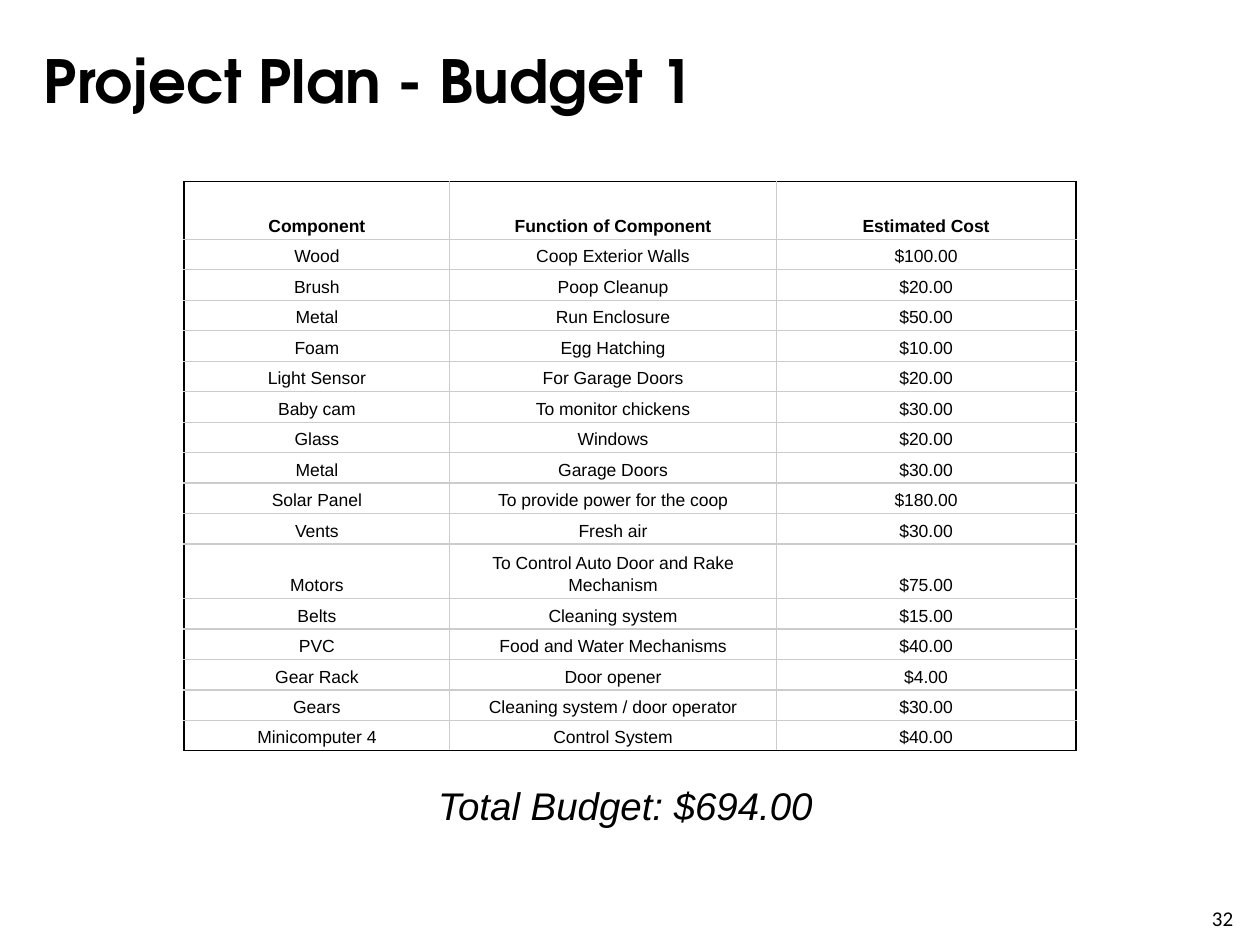
import pptx
import pptx.dml.color
import pptx.enum.text
import pptx.oxml
import pptx.oxml.ns
import pptx.util
from pptx.util import Inches

BUDGET = [
    ("Component", "Function of Component", "Estimated Cost"),
    ("Wood", "Coop Exterior Walls", "$100.00"),
    ("Brush", "Poop Cleanup", "$20.00"),
    ("Metal", "Run Enclosure", "$50.00"),
    ("Foam", "Egg Hatching", "$10.00"),
    ("Light Sensor", "For Garage Doors", "$20.00"),
    ("Baby cam", "To monitor chickens", "$30.00"),
    ("Glass", "Windows", "$20.00"),
    ("Metal", "Garage Doors", "$30.00"),
    ("Solar Panel", "To provide power for the coop", "$180.00"),
    ("Vents", "Fresh air", "$30.00"),
    ("Motors", "To Control Auto Door and Rake Mechanism", "$75.00"),
    ("Belts", "Cleaning system", "$15.00"),
    ("PVC", "Food and Water Mechanisms", "$40.00"),
    ("Gear Rack", "Door opener", "$4.00"),
    ("Gears", "Cleaning system / door operator", "$30.00"),
    ("Minicomputer 4", "Control System", "$40.00"),
]


def color(value):
    return pptx.dml.color.RGBColor.from_string(value)


class BudgetSlide:
    ink = "000000"
    grid = "CCCCCC"
    body_font = "Arial"
    cell_padding = Inches(0.05) // 2

    def __init__(self, slide):
        self.slide = slide

    def style(self, paragraph, size, font, bold=False, italic=False):
        paragraph.font.size = pptx.util.Pt(size)
        paragraph.font.name = font
        paragraph.font.bold = bold
        paragraph.font.italic = italic
        paragraph.font.color.rgb = color(self.ink)

    def text(self, words, left, top, width, height, size, font, padding=0.05, **emphasis):
        frame = self.slide.shapes.add_textbox(
            Inches(left), Inches(top), Inches(width), Inches(height)
        ).text_frame
        frame.word_wrap = True
        frame.margin_top = frame.margin_bottom = Inches(padding)
        frame.text = words
        self.style(frame.paragraphs[0], size, font, **emphasis)

    def borders(self, cell, edges):
        properties = cell._tc.get_or_add_tcPr()
        for position, (side, value) in enumerate(edges):
            line = pptx.oxml.parse_xml(
                f'<a:{side} {pptx.oxml.ns.nsdecls("a")} w="{pptx.util.Pt(0.75)}">'
                f'<a:solidFill><a:srgbClr val="{value}"/></a:solidFill></a:{side}>'
            )
            properties.insert(position, line)

    def cell(self, cell, words, bold):
        cell.fill.background()
        cell.vertical_anchor = pptx.enum.text.MSO_ANCHOR.BOTTOM
        cell.margin_left = cell.margin_right = self.cell_padding
        cell.margin_top = cell.margin_bottom = self.cell_padding
        cell.text = words
        paragraph = cell.text_frame.paragraphs[0]
        paragraph.alignment = pptx.enum.text.PP_ALIGN.CENTER
        paragraph.line_spacing = 1.15
        self.style(paragraph, 10, self.body_font, bold=bold)

    def table(self, rows, left, top, widths, heights):
        table = self.slide.shapes.add_table(
            len(rows), len(widths), Inches(left), Inches(top),
            Inches(sum(widths)), Inches(sum(heights)),
        ).table
        table.first_row = table.horz_banding = False
        for column, width in zip(table.columns, widths):
            column.width = Inches(width)
        for row, height in zip(table.rows, heights):
            row.height = Inches(height)
        last_row, last_column = len(rows) - 1, len(widths) - 1
        for r, row in enumerate(rows):
            for c, words in enumerate(row):
                cell = table.cell(r, c)
                self.cell(cell, words, bold=r == 0)
                outer = {"lnL": c == 0, "lnR": c == last_column,
                         "lnT": r == 0, "lnB": r == last_row}
                self.borders(cell, [(side, self.ink if edge else self.grid)
                                    for side, edge in outer.items()])


def main():
    deck = pptx.Presentation()
    deck.slide_width, deck.slide_height = Inches(10), Inches(7.5)
    page = BudgetSlide(deck.slides.add_slide(deck.slide_layouts[6]))
    page.text("32", 9.52, 7.14, 0.4, 0.24, 12, "Calibri")
    page.text("Project Plan - Budget 1", 0.25, 0.3, 8.67, 1.25, 34,
              "TeX Gyre Adventor", bold=True)
    row_heights = [0.46] + [0.21] * 10 + [0.35] + [0.21] * 5
    page.table(BUDGET, 1.46, 1.44, [2.11, 2.59, 2.38], row_heights)
    page.text("Total Budget: $694.00", 3.38, 6.11, 3.23, 0.53, 22,
              page.body_font, padding=0.1, italic=True)
    deck.save("out.pptx")


if __name__ == "__main__":
    main()
